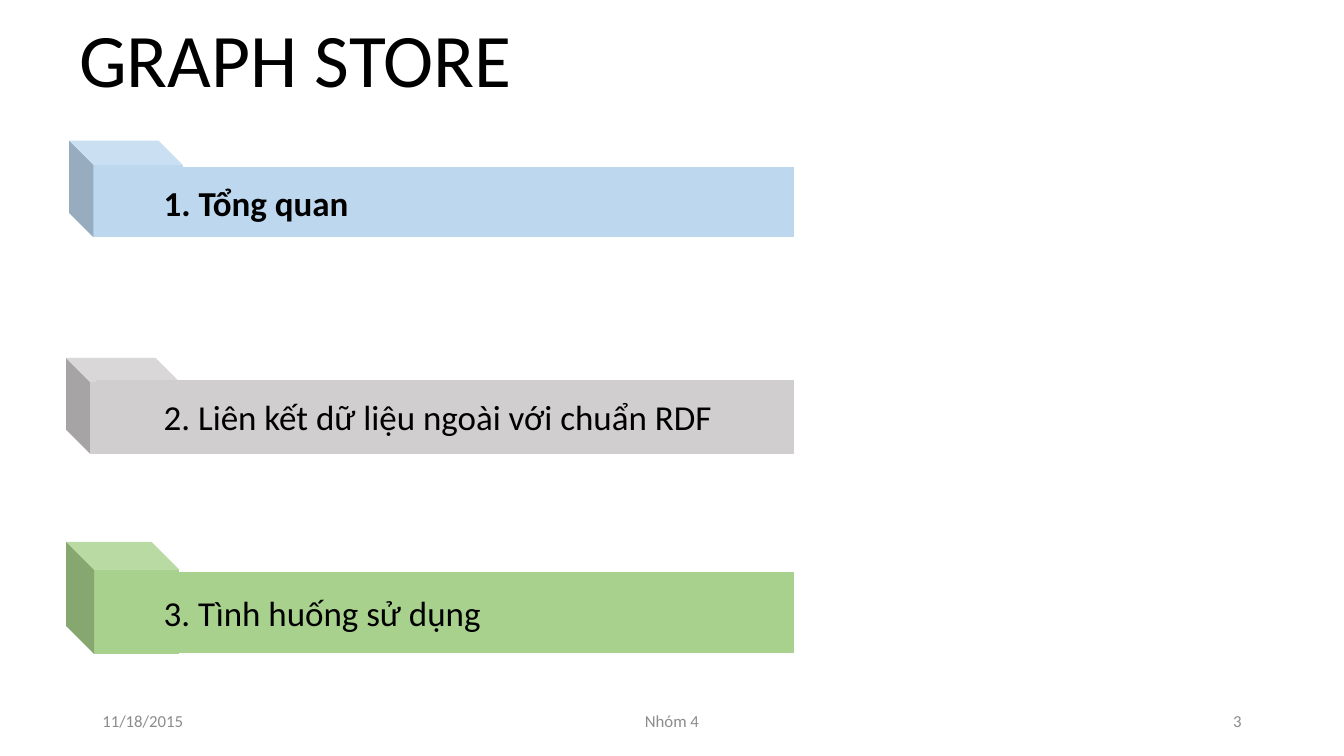
from dataclasses import dataclass

from pptx import Presentation
from pptx.dml.color import RGBColor
from pptx.enum.shapes import MSO_SHAPE
from pptx.enum.text import MSO_ANCHOR, MSO_AUTO_SIZE, PP_ALIGN
from pptx.util import Pt

PX = 9525  # EMU per px, 96 px to the inch


@dataclass(frozen=True)
class Theme:
    font: str = "Calibri"
    text: str = "000000"
    muted: str = "8C8C8C"
    blue: str = "BDD7EE"
    gray: str = "D0CECE"
    green: str = "A9D18E"
    title_size: int = 54
    item_size: int = 25
    footer_size: int = 12


THEME = Theme()


def px(*lengths):
    return [n * PX for n in lengths]


def put_text(sp, text, *, size, color=THEME.text, bold=False,
             align=PP_ALIGN.LEFT, anchor=MSO_ANCHOR.MIDDLE, spacing=None):
    tf = sp.text_frame
    tf.word_wrap = True
    tf.auto_size = MSO_AUTO_SIZE.NONE
    tf.vertical_anchor = anchor
    p = tf.paragraphs[0]
    p.alignment = align
    if spacing:
        p.line_spacing = spacing
    r = p.add_run()
    r.text = text
    r.font.name = THEME.font
    r.font.size = Pt(size)
    r.font.bold = bold
    r.font.color.rgb = RGBColor.from_string(color)


def add_title(s, text):
    sp = s.shapes.title
    sp.left, sp.top, sp.width, sp.height = px(66, 24, 690, 80)
    put_text(sp, text, size=THEME.title_size, anchor=MSO_ANCHOR.BOTTOM,
             spacing=0.9)


def add_solid(s, kind, box, color):
    sp = s.shapes.add_shape(kind, *px(*box))
    sp.shadow.inherit = False
    sp.fill.solid()
    sp.fill.fore_color.rgb = RGBColor.from_string(color)
    sp.line.fill.background()
    return sp


def add_agenda_item(s, text, color, cube, bar, bold=False):
    """Cube tab facing left with a label bar running out of it."""
    cube_left, cube_top, cube_height = cube
    bar_top, bar_height = bar
    tab = add_solid(s, MSO_SHAPE.CUBE,
                    (cube_left, cube_top, 108, cube_height), color)
    tab._element.spPr.xfrm.set("flipH", "1")
    label = add_solid(s, MSO_SHAPE.PARALLELOGRAM,
                      (91, bar_top, 665, bar_height), color)
    label.adjustments[0] = 0
    put_text(label, text, size=THEME.item_size, bold=bold)


def add_footer(s, text, left, width, align):
    sp = s.shapes.add_textbox(*px(left, 667, width, 38))
    put_text(sp, text, size=THEME.footer_size, color=THEME.muted, align=align)


def main():
    prs = Presentation()
    prs.slide_width, prs.slide_height = px(1280, 720)
    s = prs.slides.add_slide(prs.slide_layouts[0])

    # Title, without the unused subtitle
    subtitle = s.placeholders[1]._element
    subtitle.getparent().remove(subtitle)
    add_title(s, "GRAPH STORE")

    # Agenda, current section in bold
    add_agenda_item(s, "1. Tổng quan", THEME.blue,
                    cube=(66, 134, 92), bar=(159, 67), bold=True)
    add_agenda_item(s, "2. Liên kết dữ liệu ngoài với chuẩn RDF", THEME.gray,
                    cube=(63, 341, 91), bar=(362, 70))
    add_agenda_item(s, "3. Tình huống sử dụng", THEME.green,
                    cube=(63, 516, 107), bar=(545, 77))

    # Footer
    add_footer(s, "11/18/2015", 88, 288, PP_ALIGN.LEFT)
    add_footer(s, "Nhóm 4", 424, 432, PP_ALIGN.CENTER)
    add_footer(s, "3", 904, 288, PP_ALIGN.RIGHT)

    prs.save("out.pptx")


if __name__ == "__main__":
    main()
